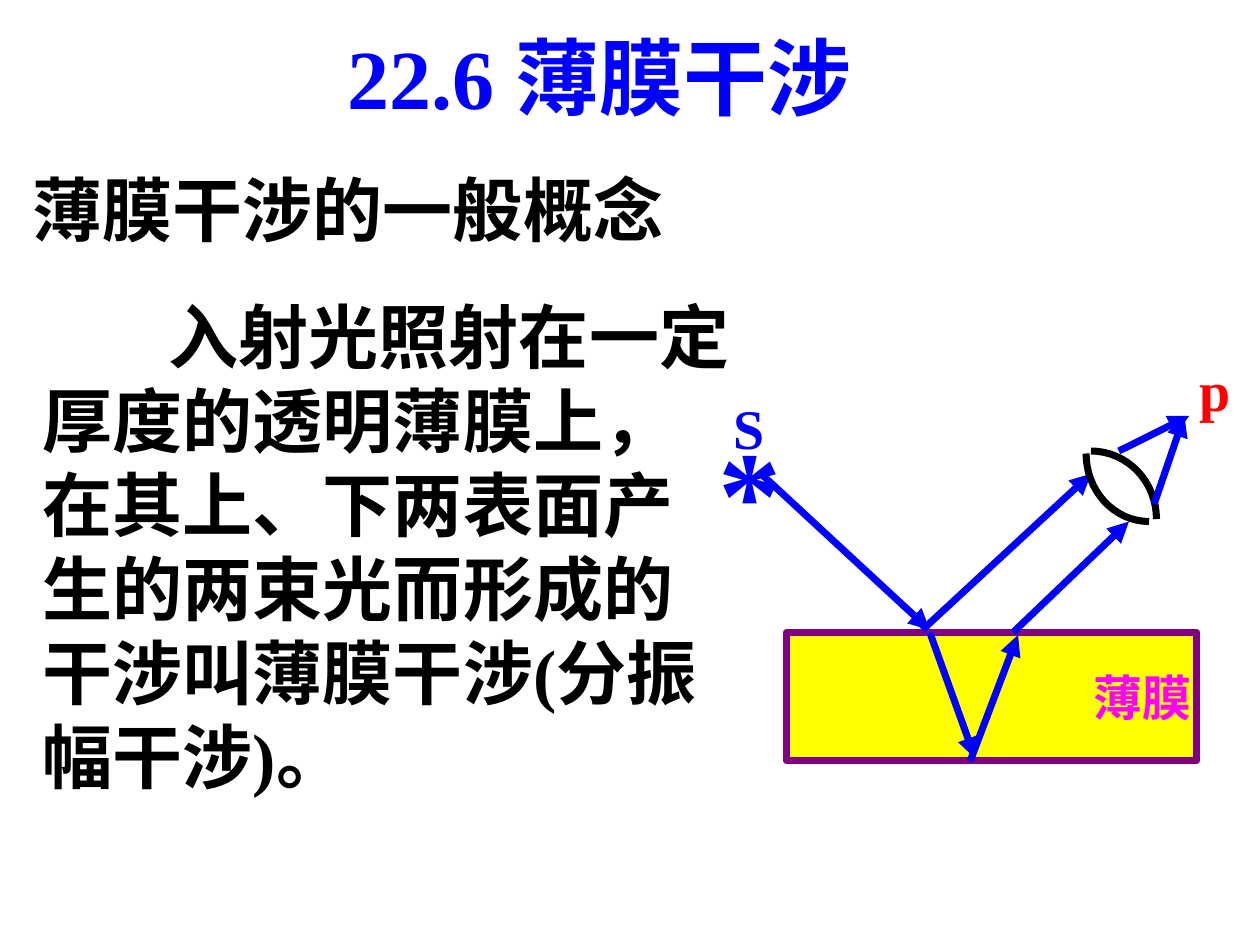
import math
from dataclasses import dataclass

import pptx
import pptx.dml.color
import pptx.enum.lang
import pptx.enum.shapes
import pptx.enum.text
import pptx.oxml
import pptx.oxml.ns
import pptx.util

EMU_PER_PX = 9144
ARC_STEPS = 16


def px(length: float) -> pptx.util.Emu:
    return pptx.util.Emu(round(length * EMU_PER_PX))


def rgb(value: str) -> pptx.dml.color.RGBColor:
    return pptx.dml.color.RGBColor.from_string(value)


@dataclass(frozen=True)
class Theme:
    font: str = "Times New Roman"
    blue: str = "0000FF"
    black: str = "000000"
    red: str = "FF0000"
    magenta: str = "FF00FF"
    purple: str = "800080"
    yellow: str = "FFFF00"
    title_size: int = 24
    body_size: int = 20
    point_size: int = 16
    film_size: int = 14
    source_size: int = 36
    body_gap: float = 12.5
    line_width: int = 2


THEME = Theme()


@dataclass(frozen=True)
class Paragraph:
    text: str
    size: int
    color: str
    left: int = 0
    first_line: int = 0
    space_before: float = 0


@dataclass(frozen=True)
class TextBox:
    left: int
    top: int
    width: int
    height: int
    paragraphs: tuple[Paragraph, ...]
    inset_x: int = 1
    inset_y: int = 1
    wrap: bool = True
    middle: bool = False


@dataclass(frozen=True)
class Ray:
    start: tuple[int, int]
    end: tuple[int, int]


@dataclass(frozen=True)
class LensArc:
    center: tuple[int, int]
    radius: tuple[int, int]
    start_degrees: int


TITLE = TextBox(128, 5, 228, 50,
                (Paragraph("22.6 薄膜干涉", THEME.title_size, THEME.blue),),
                inset_x=10, inset_y=5, wrap=False, middle=True)
BODY = TextBox(3, 61, 299, 260, (
    Paragraph("薄膜干涉的一般概念", THEME.body_size, THEME.black),
    Paragraph("入射光照射在一定厚度的透明薄膜上，在其上、下两表面产生的两束光"
              "而形成的干涉叫薄膜干涉(分振幅干涉)。",
              THEME.body_size, THEME.black, left=4, first_line=50,
              space_before=THEME.body_gap),
), inset_x=10, inset_y=5)
LABELS = (
    TextBox(475, 140, 25, 39, (Paragraph("p", THEME.point_size, THEME.red),)),
    TextBox(284, 163, 25, 31, (Paragraph("*", THEME.source_size, THEME.blue),)),
    TextBox(290, 155, 36, 31, (Paragraph("S", THEME.point_size, THEME.blue),)),
    TextBox(433, 264, 50, 31, (Paragraph("薄膜", THEME.film_size, THEME.magenta),)),
)
FILM_RAYS = (
    Ray((369, 251), (387, 301)),
    Ray((385, 302), (404, 252)),
    Ray((302, 188), (369, 250)),
    Ray((366, 250), (433, 188)),
    Ray((402, 251), (448, 207)),
)
LENS = (
    LensArc((456, 180), (25, 27), 90),
    LensArc((433, 206), (26, 27), 270),
)
FOCUSED_RAYS = (
    Ray((444, 179), (472, 165)),
    Ray((458, 200), (470, 165)),
)


def add_text(slide: pptx.slide.Slide, box: TextBox) -> None:
    shape = slide.shapes.add_textbox(px(box.left), px(box.top), px(box.width), px(box.height))
    frame = shape.text_frame
    frame.word_wrap = box.wrap
    frame.margin_left = frame.margin_right = px(box.inset_x)
    frame.margin_top = frame.margin_bottom = px(box.inset_y)
    anchor = pptx.enum.text.MSO_ANCHOR
    frame.vertical_anchor = anchor.MIDDLE if box.middle else anchor.TOP
    for index, content in enumerate(box.paragraphs):
        paragraph = frame.add_paragraph() if index else frame.paragraphs[0]
        paragraph.space_before = pptx.util.Pt(content.space_before)
        properties = paragraph._p.get_or_add_pPr()
        properties.set("marL", str(px(content.left)))
        properties.set("indent", str(px(content.first_line)))
        run = paragraph.add_run()
        run.text = content.text
        run.font.name = THEME.font
        run.font.size = pptx.util.Pt(content.size)
        run.font.bold = True
        run.font.color.rgb = rgb(content.color)
        run.font.language_id = pptx.enum.lang.MSO_LANGUAGE_ID.SIMPLIFIED_CHINESE


def add_film(slide: pptx.slide.Slide) -> None:
    film = slide.shapes.add_shape(pptx.enum.shapes.MSO_SHAPE.RECTANGLE,
                                  px(312), px(251), px(163), px(51))
    film.shadow.inherit = False
    film.fill.solid()
    film.fill.fore_color.rgb = rgb(THEME.yellow)
    film.line.color.rgb = rgb(THEME.purple)
    film.line.width = pptx.util.Pt(THEME.line_width)


def add_ray(slide: pptx.slide.Slide, ray: Ray) -> None:
    connector = slide.shapes.add_connector(
        pptx.enum.shapes.MSO_CONNECTOR.STRAIGHT,
        *(px(value) for value in ray.start + ray.end))
    connector.line.color.rgb = rgb(THEME.blue)
    connector.line.width = pptx.util.Pt(THEME.line_width)
    namespace = pptx.oxml.ns.nsdecls("a")
    connector.line._get_or_add_ln().append(
        pptx.oxml.parse_xml(f'<a:tailEnd {namespace} type="triangle"/>'))
    connector._element.spPr.append(pptx.oxml.parse_xml(f"<a:effectLst {namespace}/>"))


def add_lens_arc(slide: pptx.slide.Slide, arc: LensArc) -> None:
    angles = [math.radians(arc.start_degrees + 90 * step / ARC_STEPS)
              for step in range(ARC_STEPS + 1)]
    points = [(px(arc.center[0] + arc.radius[0] * math.cos(angle)),
               px(arc.center[1] + arc.radius[1] * math.sin(angle)))
              for angle in angles]
    builder = slide.shapes.build_freeform(*points[0])
    builder.add_line_segments(points[1:], close=False)
    shape = builder.convert_to_shape()
    shape.shadow.inherit = False
    shape.fill.background()
    shape.line.color.rgb = rgb(THEME.black)
    shape.line.width = pptx.util.Pt(THEME.line_width)


def main() -> None:
    presentation = pptx.Presentation()
    presentation.slide_width = px(500)
    presentation.slide_height = px(375)
    slide = presentation.slides.add_slide(presentation.slide_layouts[6])
    add_text(slide, TITLE)
    add_text(slide, BODY)
    add_film(slide)
    for ray in FILM_RAYS:
        add_ray(slide, ray)
    for arc in LENS:
        add_lens_arc(slide, arc)
    for ray in FOCUSED_RAYS:
        add_ray(slide, ray)
    for label in LABELS:
        add_text(slide, label)
    presentation.save("out.pptx")


if __name__ == "__main__":
    main()
